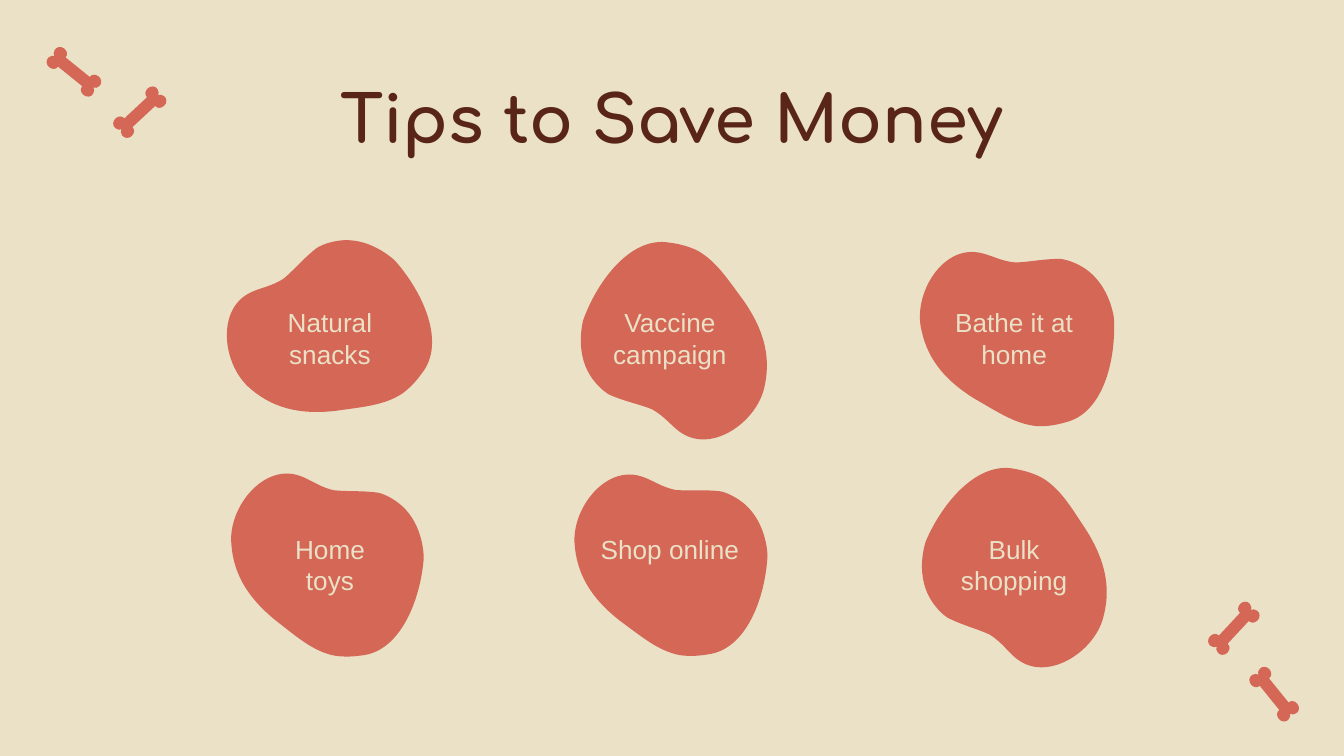
from pptx import Presentation
from pptx.dml.color import RGBColor
from pptx.enum.text import MSO_ANCHOR, PP_ALIGN
from pptx.oxml.ns import qn
from pptx.util import Pt

CREAM = RGBColor(0xEA, 0xE1, 0xC7)
CORAL = RGBColor(0xD5, 0x67, 0x56)
BROWN = RGBColor(0x5A, 0x25, 0x19)
TOP, MID = MSO_ANCHOR.TOP, PP_ALIGN.CENTER

TITLE = "Tips to Save Money"
# Text, blob center x, blob angle
TIPS = [
    [("Natural snacks", 177.1, 147.5),
     ("Vaccine campaign", 365.8, 29.2),
     ("Bathe it at home", 543.6, 185.7)],
    [("Home\ntoys", 172.8, 193.5),
     ("Shop online", 357.1, 192),
     ("Bulk shopping", 548.6, 32.1)],
]
COLS = (132.5, 314.6, 499)
ROWS = (157, 278.6)
TIP_W, TIP_H = 88.6, 49
BLOB_DROP = 24.5  # from top of tip text to blob center

# Bone center x, center y, angle
BONES = [(74.9, 60.1, -43), (39.6, 38.5, 39),
         (661, 336.6, -47), (682.6, 371.9, 51)]

# Cubic curves around (0, 0): a start point, then two handles and an end each
BLOB = [
    (-16.1, -45),
    (-20.9, -44.8), (-26, -43.6), (-31.4, -41.4),
    (-50.8, -34.7), (-55.2, -5.8), (-51.6, 16.9),
    (-51.6, 16.9), (-47.9, 33.8), (-33.7, 41.5),
    (-29.1, 43.9), (-24.2, 45.3), (-20, 45.4),
    (-11.4, 44.7), (-3.7, 42.1), (3.9, 41.1),
    (11.4, 41), (17, 43.7), (23.1, 44.4),
    (24.2, 44.7), (24.8, 44.5), (25.7, 44.5),
    (43.8, 44.4), (55.3, 20.7), (51.2, 3.1),
    (46.9, -13.5), (36.4, -24.9), (18.3, -33.7),
    (5.1, -39.6), (-4.5, -44.9), (-16.1, -45),
]
KNOB = [
    (8.3, -3.2),
    (8.3, -5.2), (9.7, -6.3), (11.8, -6.4),
    (14, -6.5), (15.8, -4.5), (15.4, -2.6),
    (15.2, -1.2), (14.4, -0.4), (13.5, 0),
]


def mirror_knob():
    """Build the whole bone from one knob; a doubled corner makes the shaft."""
    end = KNOB + [(x, -y) for x, y in KNOB[-2::-1]]
    far = [(-x, -y) for x, y in end]
    return end + [end[-1], far[0]] + far


def bend(shape):
    """Join each three straight segments into one cubic curve."""
    lines = list(shape._element.iter(qn("a:lnTo")))
    for first, *rest in zip(lines[::3], lines[1::3], lines[2::3]):
        first.tag = qn("a:cubicBezTo")
        for line in rest:
            first.append(line[0])
            line.getparent().remove(line)


def stamp(nodes, x, y, turn):
    """Draw a closed outline centered at x, y and turned by an angle."""
    spots = [(Pt(x + a), Pt(y + b)) for a, b in nodes]
    pen = slide.shapes.build_freeform(*spots[0])
    pen.add_line_segments(spots[1:], close=True)
    shape = pen.convert_to_shape()
    bend(shape)
    shape.rotation = turn
    shape.shadow.inherit = False
    shape.fill.solid()
    shape.fill.fore_color.rgb = CORAL
    shape.line.fill.background()


def write(text, x, y, w, h, font, size, color, bold=False):
    frame = slide.shapes.add_textbox(Pt(x), Pt(y), Pt(w), Pt(h)).text_frame
    frame.word_wrap = True
    frame.vertical_anchor = TOP
    frame.margin_left = frame.margin_right = Pt(7.2)
    frame.margin_top = frame.margin_bottom = Pt(7.2)
    frame.text = text
    for para in frame.paragraphs:
        para.alignment = MID
        for run in para.runs:
            run.font.name = font
            run.font.size = Pt(size)
            run.font.bold = bold
            run.font.color.rgb = color


deck = Presentation()
deck.slide_width, deck.slide_height = Pt(720), Pt(405)
slide = deck.slides.add_slide(deck.slide_layouts[6])
slide.background.fill.solid()
slide.background.fill.fore_color.rgb = CREAM

write(TITLE, 47, 34.6, 626, 45.4, "Comfortaa", 35, BROWN, True)
for top, row in zip(ROWS, TIPS):
    for left, (text, x, turn) in zip(COLS, row):
        stamp(BLOB, x, top + BLOB_DROP, turn)
        write(text, left, top, TIP_W, TIP_H, "Arial", 14, CREAM)
bone = mirror_knob()
for x, y, turn in BONES:
    stamp(bone, x, y, turn)

deck.save("out.pptx")
